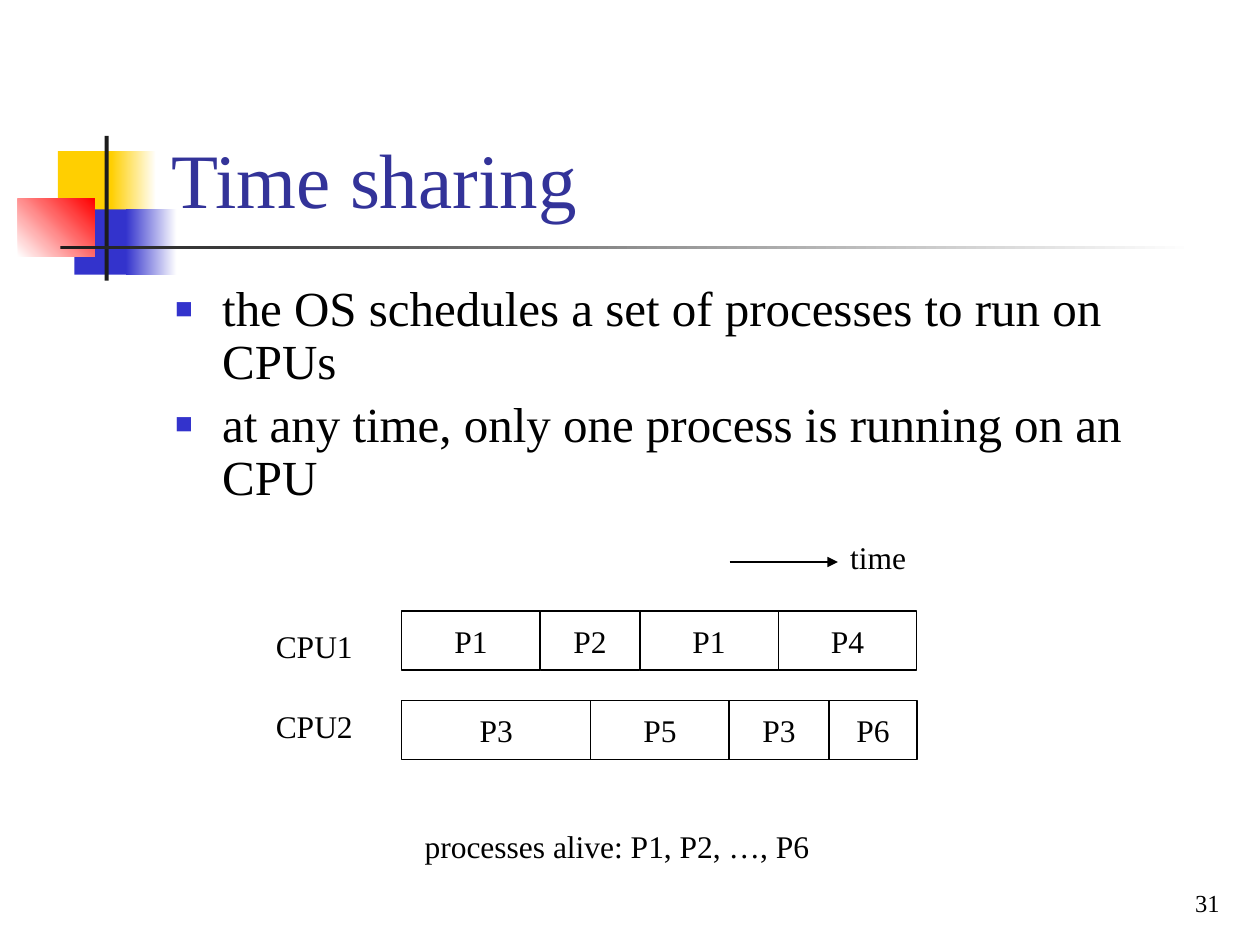
import collections

import pptx
import pptx.dml.color
import pptx.enum.shapes
import pptx.enum.text
import pptx.oxml
import pptx.oxml.ns
import pptx.util

Cm = pptx.util.Cm
Pt = pptx.util.Pt
RGBColor = pptx.dml.color.RGBColor
ALIGN = pptx.enum.text.PP_ALIGN
ANCHOR = pptx.enum.text.MSO_ANCHOR
AUTO_SIZE = pptx.enum.text.MSO_AUTO_SIZE
RECTANGLE = pptx.enum.shapes.MSO_SHAPE.RECTANGLE
STRAIGHT = pptx.enum.shapes.MSO_CONNECTOR.STRAIGHT

FONT = "Times New Roman"
BLACK = RGBColor(0x00, 0x00, 0x00)
WHITE = RGBColor(0xFF, 0xFF, 0xFF)
CHARCOAL = RGBColor(0x1C, 0x1C, 0x1C)
YELLOW = RGBColor(0xFF, 0xCF, 0x01)
BLUE = RGBColor(0x33, 0x33, 0xCC)
RED = RGBColor(0xFF, 0x00, 0x00)
TITLE_BLUE = RGBColor(0x33, 0x33, 0x99)

# All boxes are in centimetres.
Box = collections.namedtuple("Box", "left top width height")


def inside(box, left, top, width, height):
    return Box(box.left + left, box.top + top, width, height)


def in_cm(values):
    return [Cm(value) for value in values]


def add_xml(parent, xml):
    tag, rest = xml.split(" ", 1) if " " in xml else (xml, "")
    namespace = pptx.oxml.ns.nsdecls("a")
    parent.append(pptx.oxml.parse_xml(f"<a:{tag} {namespace} {rest}"))


def add_bullet(para):
    properties = para._p.get_or_add_pPr()
    properties.set("marL", str(Cm(0.95)))
    properties.set("indent", str(-Cm(0.95)))
    add_xml(properties, f'buClr ><a:srgbClr val="{BLUE}"/></a:buClr>')
    add_xml(properties, 'buSzPct val="60000"/>')
    add_xml(properties, 'buFont typeface="Arial"/>')
    add_xml(properties, 'buChar char="■"/>')


def write_text(shape, *lines, size=18, color=BLACK, align=ALIGN.LEFT,
               anchor=ANCHOR.TOP, wrap=False, grow=False, bullets=False,
               line_spacing=None, space_before=0):
    frame = shape.text_frame
    frame.word_wrap = wrap
    frame.vertical_anchor = anchor
    frame.auto_size = AUTO_SIZE.SHAPE_TO_FIT_TEXT if grow else AUTO_SIZE.NONE
    for index, line in enumerate(lines):
        para = frame.add_paragraph() if index else frame.paragraphs[0]
        para.alignment = align
        if line_spacing:
            para.line_spacing = line_spacing
        if index:
            para.space_before = Pt(space_before)
        if bullets:
            add_bullet(para)
        span = para.add_run()
        span.text = line
        span.font.name = FONT
        span.font.size = Pt(size)
        span.font.color.rgb = color


def add_text(page, box, *lines, **text_format):
    write_text(page.shapes.add_textbox(*in_cm(box)), *lines, **text_format)


def add_block(page, box, start, end=None, angle=0):
    """Add a borderless rectangle, with a gradient when an end colour is given."""
    block = page.shapes.add_shape(RECTANGLE, *in_cm(box))
    block.shadow.inherit = False
    block.line.fill.background()
    if end is None:
        block.fill.solid()
        block.fill.fore_color.rgb = start
        return
    block.fill.gradient()
    block.fill.gradient_angle = angle
    for stop, color in zip(block.fill.gradient_stops, (start, end)):
        stop.color.rgb = color


def add_ornament(page, box):
    add_block(page, inside(box, 0.81, 0.31, 1.22, 1.32), YELLOW)
    add_block(page, inside(box, 1.88, 0.31, 0.91, 1.32), YELLOW, WHITE)
    add_block(page, inside(box, 1.14, 1.48, 1.17, 1.32), BLUE)
    add_block(page, inside(box, 2.18, 1.48, 1.02, 1.32), BLUE, WHITE)
    add_block(page, inside(box, 0, 1.27, 1.55, 1.17), WHITE, RED, angle=45)
    add_block(page, inside(box, 1.75, 0, 0.08, box.height), CHARCOAL)
    add_block(page, inside(box, 0.86, 2.21, box.width - 0.86, 0.08), CHARCOAL, WHITE)


def add_time_arrow(page, box):
    middle = box.top + 0.61
    arrow = page.shapes.add_connector(
        STRAIGHT, *in_cm((box.left, middle, box.left + 2.18, middle)))
    arrow.line.color.rgb = BLACK
    arrow.line.width = Pt(0.75)
    add_xml(arrow.line._get_or_add_ln(), 'tailEnd type="triangle"/>')
    add_xml(arrow._element.spPr, "effectLst />")
    add_text(page, inside(box, 2.18, 0, 1.65, 1.02), "time", grow=True)


def add_cpu_row(page, box, slots):
    """Add process slots side by side; each slot is a name and a width."""
    left = 0
    for process, width in slots:
        slot = page.shapes.add_shape(
            RECTANGLE, *in_cm(inside(box, left, 0, width, box.height)))
        slot.shadow.inherit = False
        slot.fill.background()
        slot.line.color.rgb = BLACK
        slot.line.width = Pt(0.75)
        write_text(slot, process, align=ALIGN.CENTER, anchor=ANCHOR.MIDDLE)
        left += width


def add_schedule(page, box):
    add_time_arrow(page, inside(box, 9.4, 0, 3.83, 1.02))
    rows = (
        ("CPU1", 1.8, 1.6, (("P1", 2.79), ("P2", 2.01), ("P1", 2.79), ("P4", 2.79))),
        ("CPU2", 3.4, 3.4, (("P3", 3.81), ("P5", 2.79), ("P3", 2.01), ("P6", 1.78))),
    )
    for cpu, label_top, row_top, slots in rows:
        add_text(page, inside(box, 0, label_top, 2.06, 1.02), cpu, grow=True)
        add_cpu_row(page, inside(box, 2.79, row_top, 10.4, 1.19), slots)
    add_text(page, inside(box, 3, 5.82, 8.28, 1.02),
             "processes alive: P1, P2, …, P6", grow=True)


def build_page(page):
    add_ornament(page, Box(0.36, 2.74, 23.72, 2.92))
    add_text(page, Box(3.2, 0.58, 21.64, 4.06), "Time sharing",
             size=44, color=TITLE_BLUE, anchor=ANCHOR.BOTTOM, wrap=True)
    add_text(page, Box(3.28, 5.61, 21.59, 4.93),
             "the OS schedules a set of processes to run on CPUs",
             "at any time, only one process is running on an CPU",
             size=28, wrap=True, bullets=True, line_spacing=0.9, space_before=5.6)
    add_schedule(page, Box(5.31, 10.72, 13.23, 6.84))
    add_text(page, Box(19.56, 17.35, 5.28, 1.27), "31",
             size=14, align=ALIGN.RIGHT, anchor=ANCHOR.BOTTOM, wrap=True)


def main():
    deck = pptx.Presentation()
    deck.slide_width, deck.slide_height = Cm(25.4), Cm(19.05)
    build_page(deck.slides.add_slide(deck.slide_layouts[6]))
    deck.save("out.pptx")


if __name__ == "__main__":
    main()
